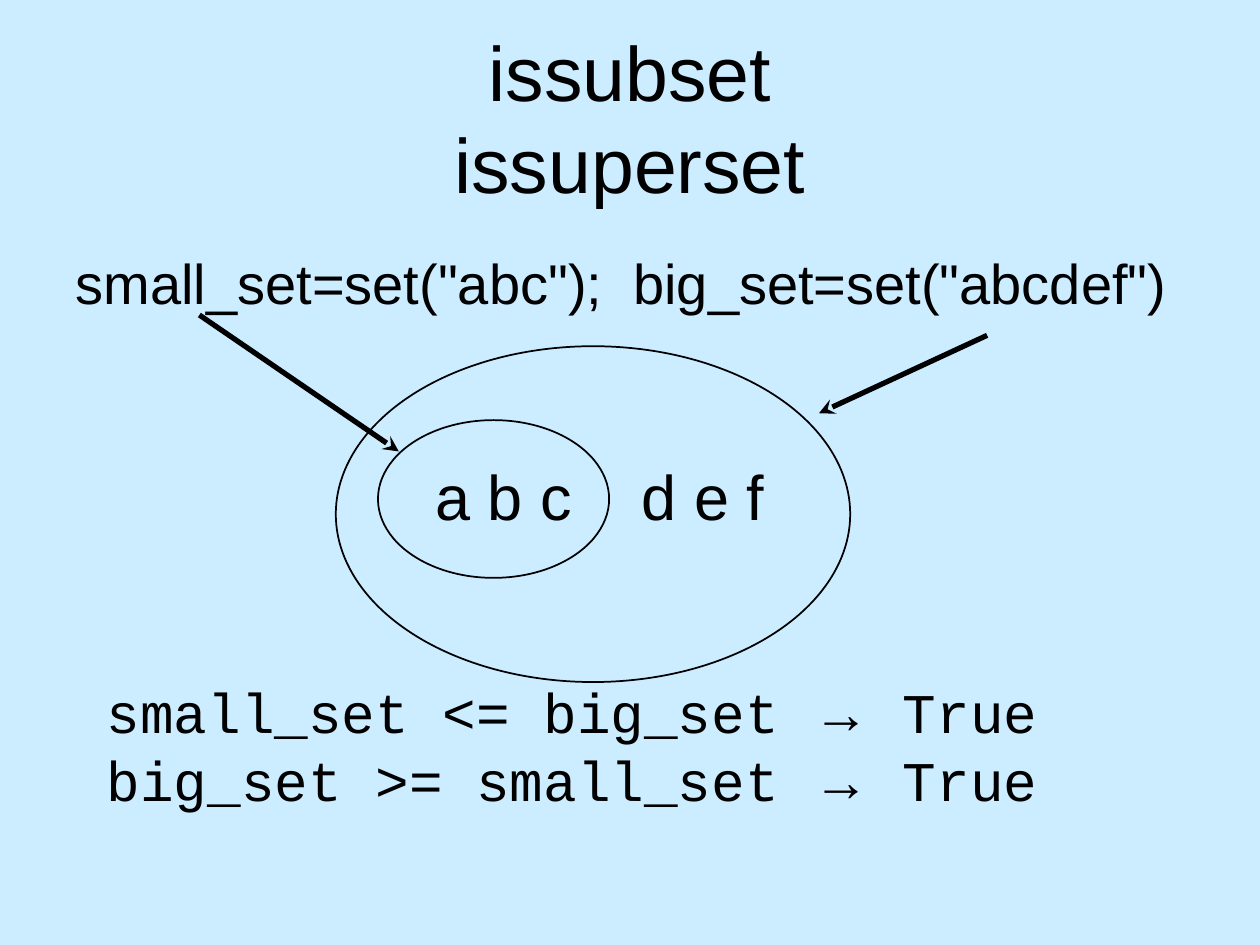
from lxml.etree import SubElement
from pptx import Presentation
from pptx.dml.color import RGBColor
from pptx.enum.shapes import MSO_CONNECTOR, MSO_SHAPE
from pptx.enum.text import MSO_ANCHOR, MSO_AUTO_SIZE, PP_ALIGN
from pptx.oxml.ns import qn
from pptx.util import Cm, Pt

# Content
TITLE = "issubset\nissuperset"
DEFINITIONS = 'small_set=set("abc");  big_set=set("abcdef")'
MEMBERS = "a b c    d e f"
COMPARISONS = ["small_set <= big_set → True", "big_set >= small_set → True"]
ARROW = "→"

# Places in cm: left, top, width, height
TITLE_BOX = (1.27, 0.76, 22.86, 3.18)
DEFINITIONS_BOX = (1.27, 4.88, 23.7, 12.14)
COMPARISONS_BOX = (1.9, 13.54, 23.5, 4.32)
MEMBERS_BOX = (8.53, 9.09, 7.14, 1.78)
SET_ELLIPSES = [(6.77, 6.98, 10.37, 6.77), (7.62, 8.47, 4.66, 3.18)]
# Pointers in cm: from x, y to x, y
POINTERS = [(4.02, 6.35, 8.04, 9.1), (19.9, 6.76, 16.51, 8.33)]

THEME = {
    "background": RGBColor(0xCC, 0xEC, 0xFF),
    "ink": RGBColor(0, 0, 0),
    "text_font": "Arial",
    "code_font": "Courier New",
    "title_size": Pt(44),
    "body_size": Pt(32),
    "members_size": Pt(36),
    "outline": Pt(1),
    "pointer": Pt(3),
}


def lengths(values):
    return [Cm(value) for value in values]


def place(shape, box):
    shape.left, shape.top, shape.width, shape.height = lengths(box)


def format_run(run, size, font_name=THEME["text_font"]):
    run.font.size = size
    run.font.name = font_name
    run.font.color.rgb = THEME["ink"]


def fill_placeholder(shape, box, text, size, anchor, alignment):
    place(shape, box)
    frame = shape.text_frame
    frame.auto_size = MSO_AUTO_SIZE.NONE
    frame.vertical_anchor = anchor
    paragraph = frame.paragraphs[0]
    paragraph.text = text
    paragraph.alignment = alignment
    for run in paragraph.runs:
        format_run(run, size)
    return paragraph


def add_text_box(slide, box, wrap):
    frame = slide.shapes.add_textbox(*lengths(box)).text_frame
    frame.word_wrap = wrap
    return frame


def add_ellipse(slide, box):
    ellipse = slide.shapes.add_shape(MSO_SHAPE.OVAL, *lengths(box))
    ellipse.shadow.inherit = False
    ellipse.fill.background()
    ellipse.line.color.rgb = THEME["ink"]
    ellipse.line.width = THEME["outline"]


def add_pointer(slide, ends):
    pointer = slide.shapes.add_connector(MSO_CONNECTOR.STRAIGHT, *lengths(ends))
    pointer.line.color.rgb = THEME["ink"]
    pointer.line.width = THEME["pointer"]
    SubElement(pointer.line._get_or_add_ln(), qn("a:tailEnd"), type="stealth")
    SubElement(pointer._element.spPr, qn("a:effectLst"))


def main():
    presentation = Presentation()
    presentation.slide_width, presentation.slide_height = Cm(25.4), Cm(19.05)
    slide = presentation.slides.add_slide(presentation.slide_layouts[1])
    slide.background.fill.solid()
    slide.background.fill.fore_color.rgb = THEME["background"]

    # Title and set definitions
    title, body = slide.placeholders
    fill_placeholder(title, TITLE_BOX, TITLE, THEME["title_size"],
                     MSO_ANCHOR.MIDDLE, PP_ALIGN.CENTER)
    definition = fill_placeholder(body, DEFINITIONS_BOX, DEFINITIONS, THEME["body_size"],
                                  MSO_ANCHOR.TOP, PP_ALIGN.LEFT)
    definition.space_before = Pt(8)
    properties = definition._p.get_or_add_pPr()
    properties.set("marL", "0")
    properties.set("indent", "0")
    SubElement(properties, qn("a:buNone"))

    # Comparisons: code on both sides of an arrow
    frame = add_text_box(slide, COMPARISONS_BOX, True)
    for index, comparison in enumerate(COMPARISONS):
        paragraph = frame.add_paragraph() if index else frame.paragraphs[0]
        for part in comparison.partition(ARROW):
            run = paragraph.add_run()
            run.text = part
            font_name = THEME["text_font" if part == ARROW else "code_font"]
            format_run(run, THEME["body_size"], font_name)

    # Set diagram
    for box in SET_ELLIPSES:
        add_ellipse(slide, box)
    frame = add_text_box(slide, MEMBERS_BOX, False)
    frame.text = MEMBERS
    format_run(frame.paragraphs[0].runs[0], THEME["members_size"])
    for ends in POINTERS:
        add_pointer(slide, ends)

    presentation.save("out.pptx")


if __name__ == "__main__":
    main()
